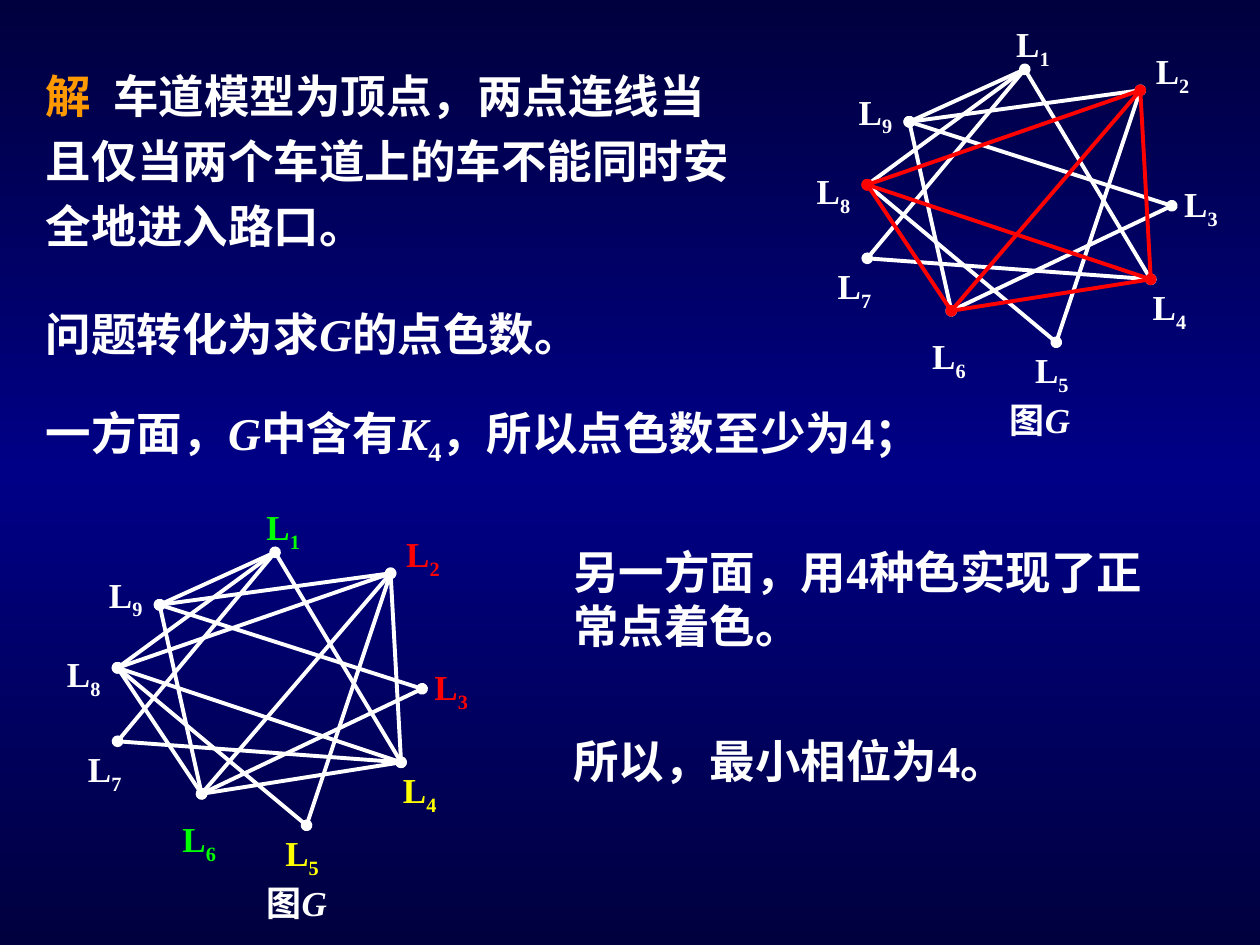
from copy import deepcopy

from lxml.etree import SubElement
from pptx import Presentation
from pptx.dml.color import RGBColor
from pptx.enum.shapes import MSO_CONNECTOR
from pptx.enum.text import MSO_AUTO_SIZE
from pptx.oxml.ns import qn
from pptx.util import Inches, Pt

COLS, ROWS = 120, 90
WHITE, RED, GREEN, YELLOW, ORANGE = "FFFFFF", "FF0000", "00FF00", "FFFF00", "FF9900"
VERTICES = {1: (21, 5), 2: (32, 7), 3: (35, 18), 4: (33, 25), 5: (24, 31),
            6: (14, 28), 7: (6, 23), 8: (6, 16), 9: (10, 10)}
LABELS = {1: (19, 0), 2: (32.3, 2.5), 3: (35, 15.2), 4: (32, 25), 5: (20.8, 31),
          6: (11, 29.7), 7: (2, 23), 8: (0, 14), 9: (4, 6.4)}
PLAIN_EDGES = [(1, 8), (1, 7), (1, 4), (9, 2), (3, 6), (8, 5)]
DOTTED_EDGES = [(1, 9), (9, 6), (9, 3), (7, 4), (2, 5)]
K4_PLAIN = [(2, 6), (2, 4), (4, 6)]
K4_DOTTED = [(6, 8), (2, 8), (8, 4)]

prs = Presentation()
prs.slide_width, prs.slide_height = Inches(10), Inches(7.5)


def rgb(value):
    return RGBColor.from_string(value)


def x_at(col):
    return round(prs.slide_width * col / COLS)


def y_at(row):
    return round(prs.slide_height * row / ROWS)


def set_background(s, edge, middle):
    fill = s.background.fill
    fill.gradient()
    fill.gradient_angle = 270
    first = s.background._cSld.find(".//" + qn("a:gs"))
    first.addnext(deepcopy(first))
    for stop, color, position in zip(fill.gradient_stops, (edge, middle, edge), (0, 0.5, 1)):
        stop.color.rgb = rgb(color)
        stop.position = position


def add_text(shapes, box, runs, size=26, color=WHITE, line_spacing=None, tab=None):
    col, row, width, height = box
    tb = shapes.add_textbox(x_at(col), y_at(row), x_at(width), y_at(height))
    tf = tb.text_frame
    tf.word_wrap = True
    tf.auto_size = MSO_AUTO_SIZE.SHAPE_TO_FIT_TEXT
    p = tf.paragraphs[0]
    if line_spacing:
        p.line_spacing = line_spacing
    if tab:
        tabs = SubElement(p._p.get_or_add_pPr(), qn("a:tabLst"))
        SubElement(tabs, qn("a:tab"), pos=str(x_at(tab)), algn="l")
    for text, style in runs:
        r = p.add_run()
        r.text = text
        r.font.name = "Times New Roman"
        r.font.size = Pt(size)
        r.font.bold = True
        r.font.italic = style == "italic"
        r.font.color.rgb = rgb(ORANGE if style == "accent" else color)
        if style == "sub":
            r.font._element.set("baseline", "-25000")


def add_edge(shapes, start, end, color, dotted):
    line = shapes.add_connector(MSO_CONNECTOR.STRAIGHT, x_at(start[0]), y_at(start[1]),
                                x_at(end[0]), y_at(end[1]))
    line.line.color.rgb = rgb(color)
    line.line.width = Pt(2.25)
    if dotted:
        for tag in ("a:headEnd", "a:tailEnd"):
            SubElement(line.line._ln, qn(tag), type="oval")
    SubElement(line._element.spPr, qn("a:effectLst"))


def add_graph(s, left, top, k4_color, label_colors, caption_col):
    shapes = s.shapes.add_group_shape().shapes

    def place(point):
        return left + point[0], top + point[1]

    for edges, color, dotted in ((PLAIN_EDGES, WHITE, False), (DOTTED_EDGES, WHITE, True),
                                 (K4_PLAIN, k4_color, False), (K4_DOTTED, k4_color, True)):
        for a, b in edges:
            add_edge(shapes, place(VERTICES[a]), place(VERTICES[b]), color, dotted)
    for number, point in LABELS.items():
        add_text(shapes, (*place(point), 8.4, 5.8), [("L", ""), (str(number), "sub")],
                 20, label_colors.get(number, WHITE))
    add_text(shapes, (*place((caption_col, 35.8)), 10.4, 5.3),
             [("图", ""), ("G", "italic")], 20)


def add_solution(s, left):
    add_text(s.shapes, (left, 4.8, 68, 20),
             [("解", "accent"), ("\t车道模型为顶点，两点连线当且仅当两个车道上的车不能同时安全地进入路口。", "")],
             line_spacing=1.2, tab=6.4)
    add_text(s.shapes, (left, 28.6, 61.4, 6.5),
             [("问题转化为求", ""), ("G", "italic"), ("的点色数。", "")])
    add_text(s.shapes, (left, 38, 88.8, 7.2),
             [("一方面，", ""), ("G", "italic"), ("中含有", ""), ("K", "italic"), ("4", "sub"),
              ("，所以点色数至少为4；", "")])


def add_conclusion(s, left):
    add_text(s.shapes, (left, 51.2, 57.6, 11.6), [("另一方面，用4种色实现了正常点着色。", "")])
    add_text(s.shapes, (left, 69.2, 50.8, 6.5), [("所以，最小相位为4。", "")])


def main():
    s = prs.slides.add_slide(prs.slide_layouts[6])
    set_background(s, "00003E", "000086")
    add_solution(s, 3.2)
    add_conclusion(s, 53.4)
    coloring = {1: GREEN, 2: RED, 3: RED, 4: YELLOW, 5: YELLOW, 6: GREEN}
    add_graph(s, 5.2, 47.6, WHITE, coloring, 19)
    add_graph(s, 76.6, 1.6, RED, {}, 18.4)
    prs.save("out.pptx")


if __name__ == "__main__":
    main()
